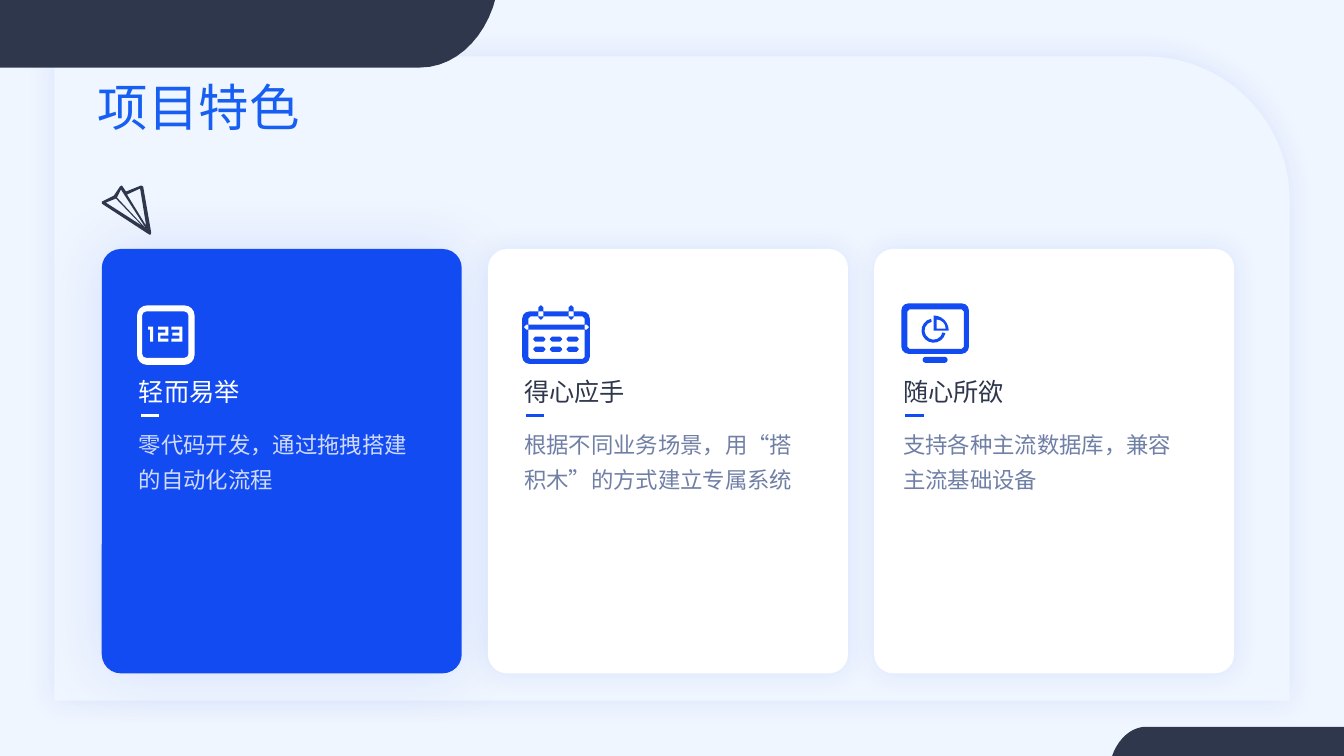
import math

import pptx
import pptx.dml.color
import pptx.enum.shapes
import pptx.enum.text
import pptx.oxml.ns
import pptx.util
from lxml import etree
from pptx.util import Inches

COLORS = {
    "page": "F0F6FF", "dark": "2F374C", "blue": "134BF2", "title": "165FF2",
    "white": "FFFFFF", "pale": "D0DBFC", "muted": "707FA6",
}
FONT = "Noto Sans CJK SC"
SHAPES = pptx.enum.shapes.MSO_SHAPE


def rgb(name):
    """Return the named colour."""
    return pptx.dml.color.RGBColor.from_string(COLORS[name])


def arc(center_x, center_y, radius, start, end):
    """Return points along a circular arc, more of them on longer arcs."""
    steps = math.ceil(radius * abs(end - start) / 2.5)
    angles = [math.radians(start + (end - start) * step / steps)
              for step in range(steps + 1)]
    return [(center_x + radius * math.cos(angle), center_y + radius * math.sin(angle))
            for angle in angles]


def curve(first, second, third, last):
    """Return points along a cubic curve."""
    points = []
    for step in range(11):
        t = step / 10
        weights = ((1 - t) ** 3, 3 * t * (1 - t) ** 2, 3 * t * t * (1 - t), t ** 3)
        points.append(tuple(sum(weight * point[axis] for weight, point
                                in zip(weights, (first, second, third, last)))
                            for axis in (0, 1)))
    return points


def rounded(left, top, width, height, radius):
    """Return the outline of a rounded rectangle."""
    right, bottom = left + width - radius, top + height - radius
    left, top = left + radius, top + radius
    return (arc(left, top, radius, 180, 270) + arc(right, top, radius, 270, 360)
            + arc(right, bottom, radius, 0, 90) + arc(left, bottom, radius, 90, 180))


def draw_outlines(page, left, top, outlines, color):
    """Draw closed outlines as one filled freeform."""
    paths = [[(Inches(left + x), Inches(top + y)) for x, y in outline]
             for outline in outlines]
    builder = page.shapes.build_freeform(*paths[0][0])
    builder.add_line_segments(paths[0][1:])
    for path in paths[1:]:
        builder.move_to(*path[0])
        builder.add_line_segments(path[1:])
    shape = builder.convert_to_shape()
    shape.shadow.inherit = False
    shape.fill.solid()
    shape.fill.fore_color.rgb = rgb(color)
    shape.line.fill.background()


def number_icon():
    """Return a framed 1, 2 and 3."""
    one = [(.11, .21), (.16, .21), (.16, .36), (.13, .36), (.13, .24), (.11, .24)]
    two = [(.21, .36), (.21, .27), (.28, .27), (.28, .24), (.21, .24), (.21, .21),
           (.31, .21), (.31, .3), (.23, .3), (.23, .33), (.31, .33), (.31, .36)]
    three = [(.45, .36), (.34, .36), (.34, .33), (.42, .33), (.42, .3), (.35, .3),
             (.35, .27), (.42, .27), (.42, .24), (.34, .24), (.34, .21), (.45, .21)]
    return [rounded(0, 0, .57, .59, .1), rounded(.05, .06, .46, .46, .04), one, two, three]


def calendar_icon():
    """Return a calendar with two rings and six days."""
    frame = [rounded(0, .06, .67, .52, .07), rounded(.06, .11, .56, .42, .02)]
    header = [rounded(.02, .19, .64, .05, .02)]
    rings = [rounded(x, 0, .05, .14, .02) for x in (.16, .46)]
    days = [rounded(.11 + .165 * column, .31 + .1 * row, .12, .05, .02)
            for row in range(2) for column in range(3)]
    return frame + header + rings + days


def monitor_icon():
    """Return a monitor showing a pie chart."""
    frame = [rounded(0, 0, .67, .5, .07), rounded(.06, .06, .56, .39, .02)]
    stand = [rounded(.21, .53, .25, .06, .03)]
    slice_edge = [(.32, .27)] + arc(.32, .27, .15, 270, 360)
    slice_hole = [(.35, .25)] + arc(.35, .25, .09, 270, 360)
    ring = arc(.32, .27, .12, 12, 258) + arc(.32, .27, .09, 258, 12)
    return frame + stand + [slice_edge, slice_hole, ring]


def add_panel(page, kind, box, corner, color, alpha, blur):
    """Add a filled panel with a soft blue glow."""
    shape = page.shapes.add_shape(kind, *map(Inches, box))
    shape.adjustments[0] = corner
    shape.fill.solid()
    shape.fill.fore_color.rgb = rgb(color)
    shape.line.fill.background()
    shape.shadow.inherit = False
    effects = shape._element.spPr.find(pptx.oxml.ns.qn("a:effectLst"))
    shadow = etree.SubElement(effects, pptx.oxml.ns.qn("a:outerShdw"),
                              blurRad=str(pptx.util.Pt(blur)), dist="0", dir="0",
                              algn="ctr", rotWithShape="0")
    tint = etree.SubElement(shadow, pptx.oxml.ns.qn("a:srgbClr"), val=COLORS["blue"])
    etree.SubElement(tint, pptx.oxml.ns.qn("a:alpha"), val=str(alpha * 1000))


def write_text(shape, text, size, color, wrap=False, spacing=1.0):
    """Fill a text shape with one left-aligned paragraph."""
    frame = shape.text_frame
    frame.word_wrap = wrap
    frame.auto_size = pptx.enum.text.MSO_AUTO_SIZE.NONE
    frame.vertical_anchor = pptx.enum.text.MSO_ANCHOR.TOP
    para = frame.paragraphs[0]
    para.text = text
    para.alignment = pptx.enum.text.PP_ALIGN.LEFT
    para.line_spacing = spacing
    para.font.name = FONT
    para.font.size = pptx.util.Pt(size)
    para.font.color.rgb = rgb(color)
    defaults = para._p.pPr.find(pptx.oxml.ns.qn("a:defRPr"))
    etree.SubElement(defaults, pptx.oxml.ns.qn("a:ea"), typeface=FONT)


def add_backdrop(page, width, height):
    """Add the main panel and the dark corner bands."""
    add_panel(page, SHAPES.ROUND_1_RECTANGLE, (.54, .56, 12.25, 6.39), .223, "page", 11, 19)
    header = [(0, 0), (0, .67)] + curve((4.17, .67), (4.49, .67), (4.77, .42), (4.89, .07))
    draw_outlines(page, 0, 0, [header + [(4.91, 0)]], "dark")
    footer = curve((11.37, 7.21), (11.22, 7.21), (11.09, 7.33), (11.03, 7.5))
    draw_outlines(page, 0, 0, [footer + [(width, height), (width, 7.21)]], "dark")


def add_title(page, box, text):
    """Place the title above the backdrop."""
    title = page.shapes.title
    title.left, title.top, title.width, title.height = map(Inches, box)
    write_text(title, text, 36, "title")
    page.shapes._spTree.append(title._element)


def add_paper_plane(page, left, top):
    """Draw the paper plane."""
    outline = [(.49, .47), (.48, .49), (.46, .48), (0, .18), (0, .16), (.12, .1),
               (.18, .01), (.2, 0), (.24, .06), (.39, 0), (.41, .01)]
    folds = [[(.04, .17), (.4, .4), (.14, .13)], [(.15, .12), (.44, .43), (.19, .04)],
             [(.38, .03), (.25, .09), (.44, .4)]]
    draw_outlines(page, left, top, [outline] + folds, "dark")


def add_card(page, box, inset, icon, icon_top, heading, body, colors, glow):
    """Add a card with an icon, a heading, a dash and a description."""
    fill, accent, heading_color, body_color = colors
    left, top = box[0] + inset, box[1]
    add_panel(page, SHAPES.ROUNDED_RECTANGLE, box, .053, fill, *glow)
    draw_outlines(page, left + .08, top + icon_top, icon, accent)
    heading_box = page.shapes.add_textbox(*map(Inches, (left, top + 1.21, 1.46, .4)))
    write_text(heading_box, heading, 18, heading_color)
    body_box = page.shapes.add_textbox(*map(Inches, (left, top + 1.68, 3.05, 1.61)))
    write_text(body_box, body, 16, body_color, wrap=True, spacing=1.3)
    ends = (left + .12, top + 1.65, left + .3, top + 1.65)
    dash = page.shapes.add_connector(pptx.enum.shapes.MSO_CONNECTOR.STRAIGHT,
                                     *map(Inches, ends))
    dash.line.color.rgb = rgb(accent)
    dash.line.width = pptx.util.Pt(2)
    etree.SubElement(dash._element.spPr, pptx.oxml.ns.qn("a:effectLst"))


def main():
    """Build the slide and save the deck."""
    deck = pptx.Presentation()
    width, height = 13.33, 7.5
    deck.slide_width, deck.slide_height = Inches(width), Inches(height)
    page = deck.slides.add_slide(deck.slide_layouts[5])
    page.background.fill.solid()
    page.background.fill.fore_color.rgb = rgb("page")
    add_backdrop(page, width, height)
    add_title(page, (.87, .71, 2.22, .71), "项目特色")
    featured = ("blue", "white", "white", "pale"), (13, 42.8)
    plain = ("white", "blue", "dark", "muted"), (11, 19)
    cards = [
        (.27, number_icon(), .56, "轻而易举", "零代码开发，通过拖拽搭建的自动化流程", *featured),
        (.26, calendar_icon(), .56, "得心应手",
         "根据不同业务场景，用“搭积木”的方式建立专属系统", *plain),
        (.19, monitor_icon(), .54, "随心所欲", "支持各种主流数据库，兼容主流基础设备", *plain),
    ]
    for index, card in enumerate(cards):
        add_card(page, (1.01 + 3.83 * index, 2.47, 3.57, 4.21), *card)
    add_paper_plane(page, 1.01, 1.84)
    deck.save("out.pptx")


if __name__ == "__main__":
    main()
